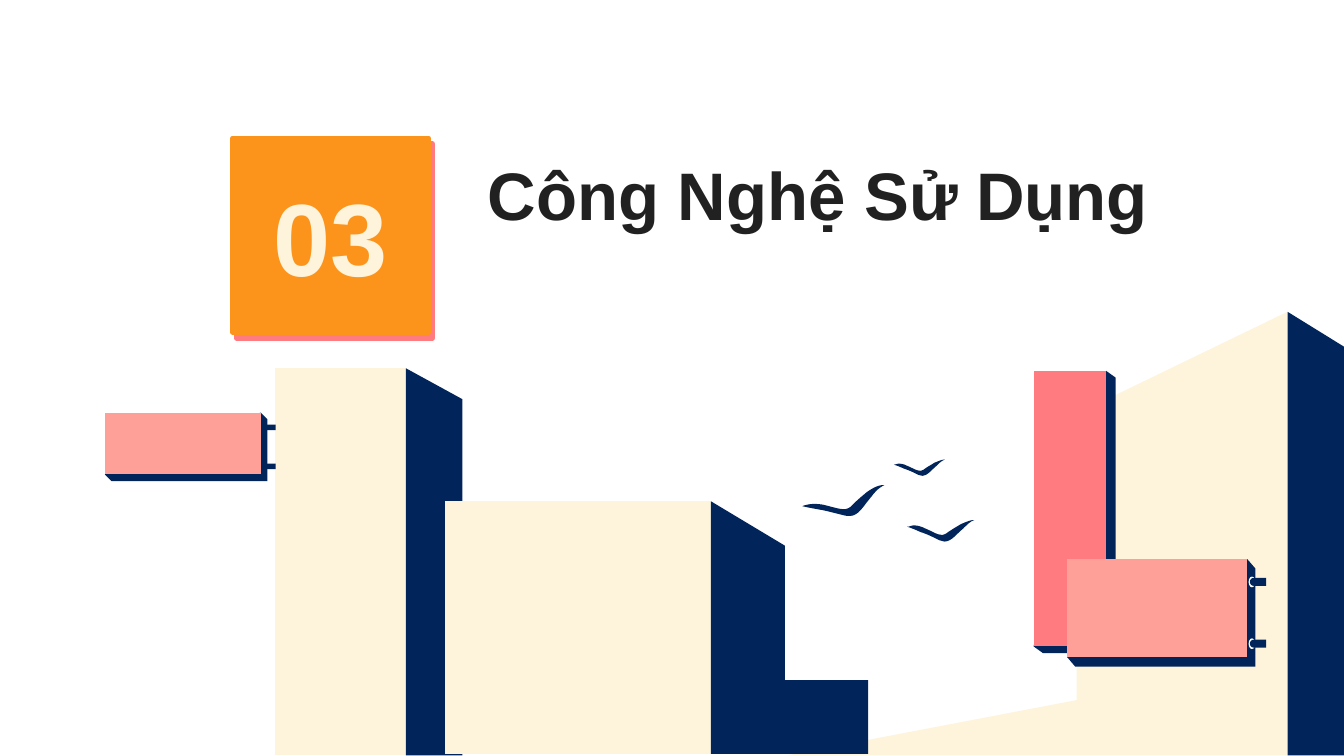
from lxml import etree
from pptx import Presentation
from pptx.dml.color import RGBColor
from pptx.enum.shapes import MSO_SHAPE
from pptx.enum.text import MSO_ANCHOR, MSO_AUTO_SIZE, PP_ALIGN
from pptx.oxml.ns import qn
from pptx.util import Inches, Pt

RECTANGLE, OVAL = MSO_SHAPE.RECTANGLE, MSO_SHAPE.OVAL
LEFT, CENTER = PP_ALIGN.LEFT, PP_ALIGN.CENTER
MIDDLE, NO_FIT = MSO_ANCHOR.MIDDLE, MSO_AUTO_SIZE.NONE

THEME = {
    "navy": RGBColor.from_string("01255B"),
    "cream": RGBColor.from_string("FEF4DC"),
    "coral": RGBColor.from_string("FF7B7F"),
    "salmon": RGBColor.from_string("FEA098"),
    "orange": RGBColor.from_string("FC941C"),
    "ink": RGBColor.from_string("212121"),
    "white": RGBColor.from_string("FFFFFF"),
    "font": "Arial",
    "title_size": 36,
    "number_size": 55,
}
CURVE_STEPS = 8

# Widescreen 16:9 slide
prs = Presentation()
prs.slide_width, prs.slide_height = Inches(10), Inches(10 * 9 / 16)
slide = prs.slides.add_slide(prs.slide_layouts[5])


def write(shape, text, size, color, align):
    frame = shape.text_frame
    frame.word_wrap, frame.auto_size = True, NO_FIT
    frame.vertical_anchor = MIDDLE
    frame.margin_left = frame.margin_right = Inches(0.1)
    frame.margin_top = frame.margin_bottom = Inches(0.1)
    paragraph = frame.paragraphs[0]
    paragraph.alignment = align
    run = paragraph.add_run()
    run.text = text
    run.font.name, run.font.size, run.font.bold = THEME["font"], Pt(size), True
    run.font.color.rgb = THEME[color]


def draw(outline, color):
    """Fill an outline of line ends (x, y) and cubic curves (six numbers)."""
    points = []
    for step in outline:
        if len(step) == 2:
            points.append(step)
            continue
        (x0, y0), (x1, y1, x2, y2, x3, y3) = points[-1], step
        for i in range(1, CURVE_STEPS + 1):
            t = i / CURVE_STEPS
            a, b, c, d = (1 - t) ** 3, 3 * t * (1 - t) ** 2, 3 * t * t * (1 - t), t ** 3
            points.append((a * x0 + b * x1 + c * x2 + d * x3,
                           a * y0 + b * y1 + c * y2 + d * y3))
    corners = [(Inches(x), Inches(y)) for x, y in points]
    builder = slide.shapes.build_freeform(*corners[0])
    builder.add_line_segments(corners[1:], close=True)
    form = builder.convert_to_shape()
    form.shadow.inherit = False
    form.fill.solid()
    form.fill.fore_color.rgb = THEME[color]
    form.line.fill.background()


# Title
title = slide.shapes.title
title.left, title.top, title.width, title.height = map(Inches, (3.53, 0.94, 5.32, 1))
write(title, "Công Nghệ Sử Dụng", THEME["title_size"], "ink", LEFT)

# Buildings: lit fronts and dark sides
buildings = [
    ([(9.58, 2.32), (9.58, 5.62), (5.86, 5.62), (8.01, 5.21), (8.01, 3.08)], "cream"),
    ([(9.58, 2.32), (9.58, 5.62), (10, 5.62), (10, 2.58)], "navy"),
    ([(2.05, 2.74), (2.05, 5.62), (3.02, 5.62), (3.02, 2.74)], "cream"),
    ([(3.02, 2.74), (3.02, 5.62), (3.44, 5.62), (3.44, 2.97)], "navy"),
    ([(3.31, 3.73), (3.31, 5.61), (5.29, 5.61), (5.29, 3.73)], "cream"),
    ([(5.29, 3.73), (5.29, 5.61), (6.46, 5.61), (6.46, 5.06), (5.84, 5.06),
      (5.84, 4.06)], "navy"),
]
for outline, color in buildings:
    draw(outline, color)

# Signs: left, top, right, bottom, depth across, depth down, colour
signs = [
    (7.69, 2.76, 8.23, 4.81, 0.07, 0.05, "coral"),
    (7.94, 4.16, 9.28, 4.89, 0.06, 0.07, "salmon"),
    (0.78, 3.07, 1.94, 3.53, 0.05, 0.05, "salmon"),
]
for x1, y1, x2, y2, dx, dy, color in signs:
    draw([(x2, y1), (x2 + dx, y1 + dy), (x2 + dx, y2 + dy), (x1 + dx, y2 + dy),
          (x1, y2)], "navy")
    draw([(x1, y1), (x2, y1), (x2, y2), (x1, y2)], color)

# Pegs that hold the signs: left, top, right, height, white socket or not
pegs = [(9.3, 4.3, 9.42, 0.06, True), (9.3, 4.76, 9.42, 0.06, True),
        (1.96, 3.16, 2.05, 0.04, False), (1.96, 3.45, 2.05, 0.04, False)]
for x, y, end, height, has_socket in pegs:
    if has_socket:
        socket = slide.shapes.add_shape(
            OVAL, Inches(x - 0.01), Inches(y - 0.01), Inches(0.05), Inches(0.08))
        socket.shadow.inherit = False
        socket.fill.solid()
        socket.fill.fore_color.rgb = THEME["white"]
        socket.line.fill.background()
    bend, pull = x + height / 2, x - height / 6
    draw([(end, y), (end, y + height), (bend, y + height),
          (pull, y + height, pull, y, bend, y)], "navy")

# Birds: outlines on a 100 by 100 grid, fitted to each box
gliding = [(100, 0), (95, 0, 90, 2, 79, 22), (74, 33, 67, 48, 59, 70),
           (57, 74, 54, 78, 51, 78), (44, 78, 36, 70, 26, 64),
           (23, 62, 18, 61, 15, 61), (10, 61, 5, 63, 0, 68),
           (0, 69, 8, 73, 20, 79), (30, 83, 41, 92, 51, 98),
           (54, 100, 56, 100, 58, 100), (69, 100, 75, 65, 85, 35),
           (89, 20, 94, 8, 100, 0)]
rising = [(100, 0), (94, 0, 90, 6, 80, 19), (74, 31, 66, 44, 58, 63),
          (56, 66, 54, 69, 52, 69), (44, 69, 36, 50, 26, 38),
          (22, 31, 16, 25, 10, 25), (6, 25, 4, 31, 0, 31),
          (0, 31, 8, 38, 20, 56), (28, 63, 40, 81, 48, 94),
          (52, 97, 54, 100, 56, 100), (66, 100, 74, 63, 84, 38),
          (88, 25, 94, 6, 100, 0)]
flock = [(gliding, 5.97, 3.61, 0.61, 0.23), (rising, 6.75, 3.87, 0.5, 0.16),
         (rising, 6.65, 3.42, 0.38, 0.12)]
for bird, x, y, width, height in flock:
    draw([[y + v * height / 100 if i % 2 else x + v * width / 100
           for i, v in enumerate(step)] for step in bird], "navy")

# Section number with a hard coral shadow
number = slide.shapes.add_shape(
    RECTANGLE, Inches(1.73), Inches(1.03), Inches(1.46), Inches(1.44))
number.fill.solid()
number.fill.fore_color.rgb = THEME["orange"]
number.line.color.rgb = THEME["orange"]
number.line.width = Pt(3)
number.shadow.inherit = False
properties = number.element.spPr
etree.SubElement(properties.find(qn("a:ln")), qn("a:round"))
shadow = etree.SubElement(properties.find(qn("a:effectLst")), qn("a:outerShdw"),
                          dist=str(Pt(3.8)), dir=str(56 * 60000),
                          algn="bl", rotWithShape="0")
etree.SubElement(shadow, qn("a:srgbClr"), val=str(THEME["coral"]))
write(number, "03", THEME["number_size"], "cream", CENTER)

prs.save("out.pptx")
